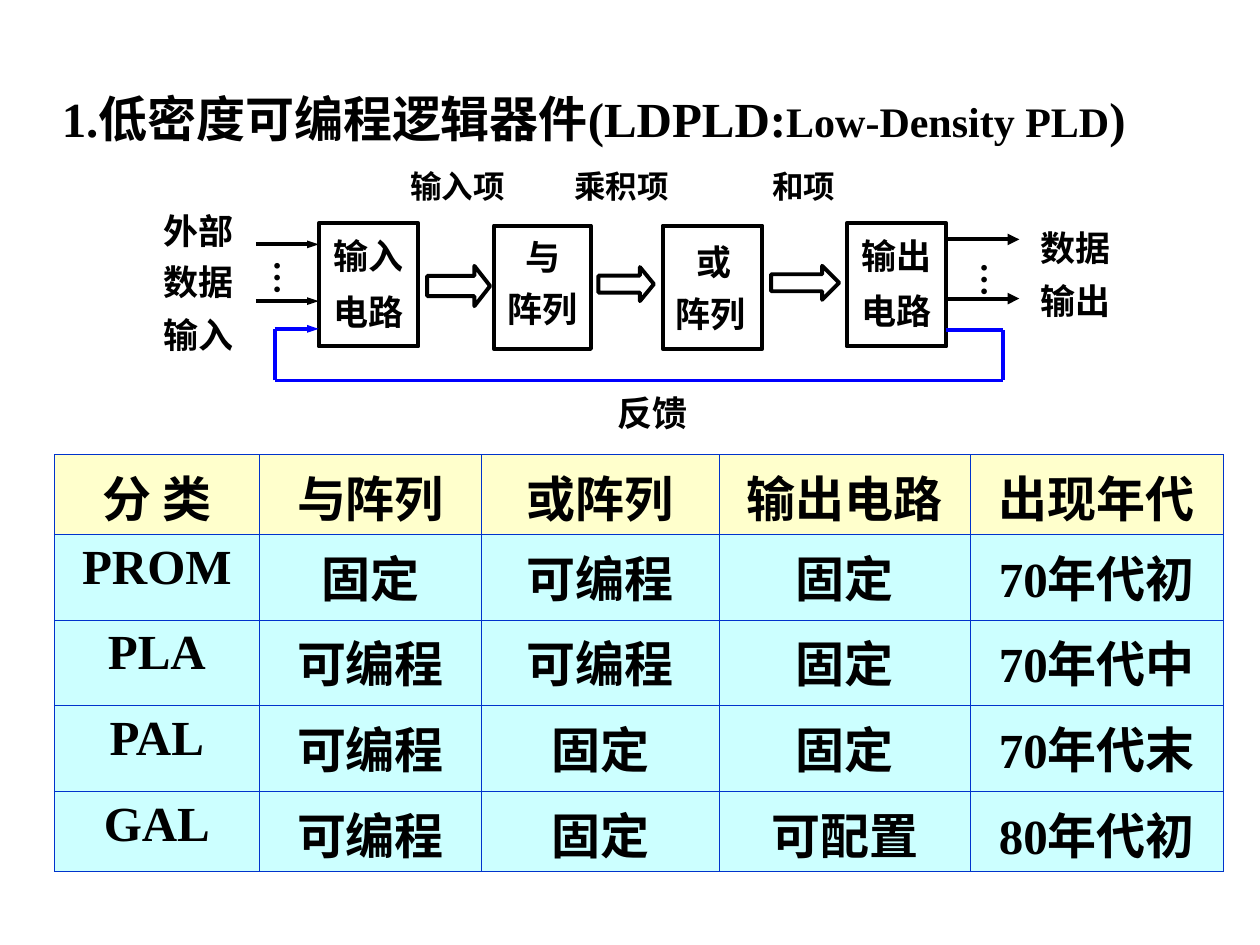
from lxml import etree
from pptx import Presentation
from pptx.dml.color import RGBColor
from pptx.enum import shapes, text
from pptx.oxml.ns import qn
from pptx.util import Inches, Pt

COLORS = {"ink": "000000", "feedback": "0000FF", "border": "0033CC",
          "header": "FFFFCC", "body": "CCFFFF"}
FONT = "Times New Roman"

TITLE = [("1.低密度可编程逻辑器件(LDPLD:", 28), ("Low-Density PLD", 24), (")", 28)]

# Block rectangles: left, top, width
BLOCK_HEIGHT = 0.98
BLOCKS = [(2.53, 1.77, 0.79), (3.92, 1.79, 0.77), (5.26, 1.79, 0.79), (6.72, 1.77, 0.79)]

# Labels by size: (text, left, top, width)
LABELS = {
    20: [("输入", 2.55, 1.81, 0.92), ("电路", 2.55, 2.26, 0.89),
         ("与", 4.07, 1.82, 0.65), ("阵列", 3.93, 2.23, 0.93),
         ("或", 5.43, 1.86, 0.6), ("阵列", 5.26, 2.27, 0.88),
         ("输出", 6.74, 1.81, 0.8), ("电路", 6.74, 2.25, 0.8),
         ("外部", 1.2, 1.61, 0.79), ("数据", 1.2, 2.02, 0.79), ("输入", 1.2, 2.44, 0.79),
         ("数据", 8.16, 1.75, 0.93), ("输出", 8.16, 2.17, 0.89),
         ("反馈", 4.8, 3.06, 0.95)],
    18: [("输入项", 3.16, 1.28, 0.97), ("乘积项", 4.46, 1.28, 0.99), ("和项", 6.03, 1.28, 0.74)],
}
ELLIPSES = [(1.98, 1.97), (7.59, 1.98)]

# Block arrows: left, top, width, height, head length ratio
BLOCK_ARROWS = [(3.39, 2.11, 0.5, 0.32, 0.39), (4.75, 2.12, 0.44, 0.27, 0.41),
                (6.12, 2.11, 0.54, 0.27, 0.5)]

# Signal lines: start, end, colour, arrowhead width
LINES = [((2.03, y), (2.53, y), "ink", "sm") for y in (1.94, 2.39)]
LINES += [((7.51, y), (8.09, y), "ink", "med") for y in (1.9, 2.37)]
FEEDBACK = [(7.51, 2.62), (7.96, 2.62), (7.96, 3.02), (2.18, 3.02), (2.18, 2.61), (2.53, 2.61)]
LINES += [(start, end, "feedback", "sm" if end == FEEDBACK[-1] else None)
          for start, end in zip(FEEDBACK, FEEDBACK[1:])]

TABLE = [
    ["分 类", "与阵列", "或阵列", "输出电路", "出现年代"],
    ["PROM", "固定", "可编程", "固定", "70年代初"],
    ["PLA", "可编程", "可编程", "固定", "70年代中"],
    ["PAL", "可编程", "固定", "固定", "70年代末"],
    ["GAL", "可编程", "固定", "可配置", "80年代初"],
]
COLUMN_WIDTHS = [1.63, 1.76, 1.89, 1.99, 2.01]
ROW_HEIGHTS = [0.63, 0.68, 0.68, 0.68, 0.64]


def color(name):
    return RGBColor.from_string(COLORS[name])


def add_run(paragraph, words, size):
    run = paragraph.add_run()
    run.text = words
    run.font.name = FONT
    run.font.size = Pt(size)
    run.font.bold = True
    run.font.color.rgb = color("ink")


def place(box):
    return [Inches(value) for value in box]


def add_outline(slide, preset, box):
    shape = slide.shapes.add_shape(preset, *place(box))
    shape.shadow.inherit = False
    shape.fill.background()
    shape.line.color.rgb = color("ink")
    shape.line.width = Pt(2.25)
    return shape


def add_label(slide, words, box, size):
    frame = slide.shapes.add_textbox(*place(box)).text_frame
    frame.word_wrap = True
    add_run(frame.paragraphs[0], words, size)
    return frame


def add_line(slide, start, end, color_name, head):
    line = slide.shapes.add_connector(shapes.MSO_CONNECTOR.STRAIGHT, *place(start + end))
    line.line.color.rgb = color(color_name)
    line.line.width = Pt(2.25)
    if head:
        etree.SubElement(line.line._get_or_add_ln(), qn("a:tailEnd"),
                         type="triangle", w=head, len="med")
    etree.SubElement(line._element.spPr, qn("a:effectLst"))


def add_borders(cell):
    properties = cell._tc.get_or_add_tcPr()
    for index, side in enumerate(("lnL", "lnR", "lnT", "lnB")):
        border = etree.Element(qn(f"a:{side}"), w=str(Pt(0.45)))
        fill = etree.SubElement(border, qn("a:solidFill"))
        etree.SubElement(fill, qn("a:srgbClr"), val=COLORS["border"])
        properties.insert(index, border)


def add_table(slide):
    box = (0.43, 3.61, sum(COLUMN_WIDTHS), sum(ROW_HEIGHTS))
    table = slide.shapes.add_table(len(TABLE), len(TABLE[0]), *place(box)).table
    for column, width in zip(table.columns, COLUMN_WIDTHS):
        column.width = Inches(width)
    for row_index, (row, height) in enumerate(zip(table.rows, ROW_HEIGHTS)):
        row.height = Inches(height)
        for cell, words in zip(row.cells, TABLE[row_index]):
            cell.fill.solid()
            cell.fill.fore_color.rgb = color("body" if row_index else "header")
            add_borders(cell)
            paragraph = cell.text_frame.paragraphs[0]
            paragraph.alignment = text.PP_ALIGN.CENTER
            add_run(paragraph, words, 28)


def main():
    presentation = Presentation()
    presentation.slide_width, presentation.slide_height = Inches(10), Inches(7.5)
    slide = presentation.slides.add_slide(presentation.slide_layouts[5])

    # Title
    title = slide.shapes.title
    title.left, title.top, title.width, title.height = place((0.39, 0.65, 9.25, 0.64))
    title.text_frame.vertical_anchor = text.MSO_ANCHOR.TOP
    title.text_frame.auto_size = text.MSO_AUTO_SIZE.NONE
    title.text_frame.paragraphs[0].alignment = text.PP_ALIGN.LEFT
    for words, size in TITLE:
        add_run(title.text_frame.paragraphs[0], words, size)

    # Block diagram
    for block in BLOCKS:
        add_outline(slide, shapes.MSO_SHAPE.RECTANGLE, block + (BLOCK_HEIGHT,))
    for *box, head in BLOCK_ARROWS:
        arrow = add_outline(slide, shapes.MSO_SHAPE.RIGHT_ARROW, box)
        arrow.adjustments[1] = head
    for line in LINES:
        add_line(slide, *line)

    # Labels and vertical ellipses
    for size, labels in LABELS.items():
        for words, left, top, width in labels:
            add_label(slide, words, (left, top, width, size * 0.022), size)
    for left, top in ELLIPSES:
        frame = add_label(slide, "…", (left, top, 0.53, 0.38), 20)
        frame.word_wrap = False
        frame.margin_left = frame.margin_right = Inches(0.05)
        frame.margin_top = frame.margin_bottom = Inches(0.1)
        frame._txBody.bodyPr.set("vert", "eaVert")

    # Device comparison table
    add_table(slide)
    presentation.save("out.pptx")


if __name__ == "__main__":
    main()
